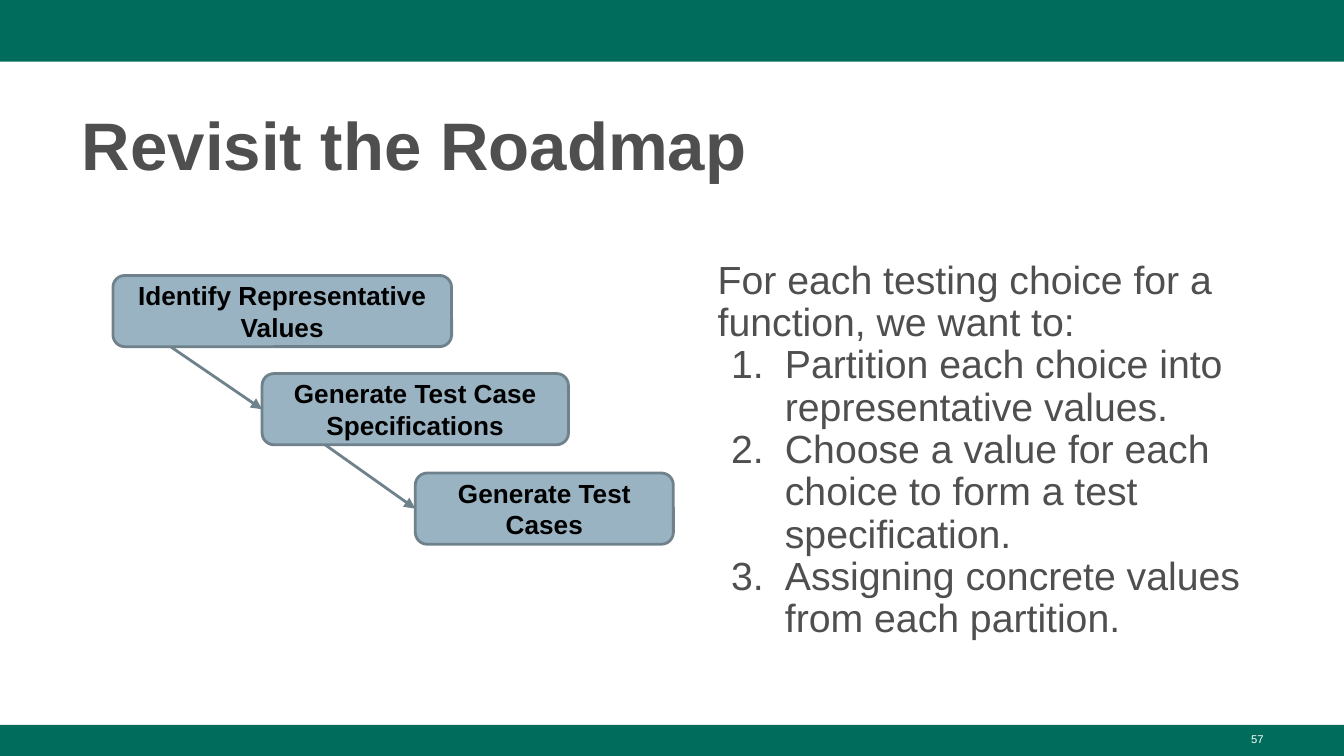
from lxml import etree
from pptx import Presentation
from pptx.dml.color import RGBColor
from pptx.enum.shapes import MSO_CONNECTOR, MSO_SHAPE
from pptx.enum.text import MSO_ANCHOR, MSO_AUTO_SIZE, PP_ALIGN
from pptx.oxml.ns import qn
from pptx.util import Inches, Pt

GREEN = RGBColor(0x00, 0x6C, 0x5C)
GRAY = RGBColor(0x4F, 0x4F, 0x4F)
BLUE = RGBColor(0x99, 0xB3, 0xC2)
SLATE = RGBColor(0x6F, 0x82, 0x8C)
BLACK = RGBColor(0, 0, 0)
WHITE = RGBColor(0xFF, 0xFF, 0xFF)

RECT, ROUND = MSO_SHAPE.RECTANGLE, MSO_SHAPE.ROUNDED_RECTANGLE
STRAIGHT = MSO_CONNECTOR.STRAIGHT
TOP, MIDDLE = MSO_ANCHOR.TOP, MSO_ANCHOR.MIDDLE
LEFT, CENTER, RIGHT = PP_ALIGN.LEFT, PP_ALIGN.CENTER, PP_ALIGN.RIGHT
NO_FIT = MSO_AUTO_SIZE.NONE

# Wide slide, 16 to 9
WIDE = 10
HIGH = WIDE * 9 / 16
# Step text, left and top in the flow, width, start of the arrow to the next
STEPS = [
    ("Identify Representative Values", 0, 0, 2.52, 0.43),
    ("Generate Test Case Specifications", 1.11, 0.73, 2.28, 0.47),
    ("Generate Test Cases", 2.25, 1.47, 1.92, None),
]
STEP_HIGH = 0.53
INTRO = "For each testing choice for a function, we want to:"
GOALS = [
    "Partition each choice into representative values.",
    "Choose a value for each choice to form a test specification.",
    "Assigning concrete values from each partition.",
]


def place(shape, box):
    shape.left, shape.top, shape.width, shape.height = map(Inches, box)


def set_list(para, numbered):
    """Number a paragraph with a hanging indent, or clear its bullet."""
    props = para._p.get_or_add_pPr()
    props.set("marL", str(Inches(0.5) if numbered else 0))
    props.set("indent", str(Inches(-0.4) if numbered else 0))
    if numbered:
        color = etree.SubElement(props, qn("a:buClr"))
        etree.SubElement(color, qn("a:srgbClr"), val=str(GRAY))
        etree.SubElement(props, qn("a:buFont"), typeface="Arial")
        etree.SubElement(props, qn("a:buAutoNum"), type="arabicPeriod")
    else:
        etree.SubElement(props, qn("a:buNone"))


def write(shape, lines, size, color, bold=False, align=LEFT, anchor=TOP,
          pad=0.1, space=None, first=None):
    """Fill a shape with text; lines from index first on are numbered."""
    frame = shape.text_frame
    frame.word_wrap = True
    frame.auto_size = NO_FIT
    frame.vertical_anchor = anchor
    frame.margin_left = frame.margin_right = Inches(0.1)
    frame.margin_top = frame.margin_bottom = Inches(pad)
    for i, line in enumerate(lines):
        para = frame.paragraphs[0] if i == 0 else frame.add_paragraph()
        set_list(para, first is not None and i >= first)
        para.alignment = align
        para.space_before = Pt(0)
        if space:
            para.line_spacing = space
        run = para.add_run()
        run.text = line
        font = run.font
        font.name, font.size, font.bold = "Arial", Pt(size), bold
        font.color.rgb = color


def add_box(slide, kind, box, fill, edge=None):
    shape = slide.shapes.add_shape(kind, *map(Inches, box))
    shape.shadow.inherit = False
    shape.fill.solid()
    shape.fill.fore_color.rgb = fill
    if edge is None:
        shape.line.fill.background()
    else:
        shape.line.color.rgb = edge
        shape.line.width = Pt(1.5)
    return shape


def add_arrow(slide, x, y, target):
    """Draw an arrow from a point to the left side of a box."""
    arrow = slide.shapes.add_connector(
        STRAIGHT, Inches(x), Inches(y), target.left, target.top)
    arrow.end_connect(target, 1)
    arrow.line.color.rgb = SLATE
    arrow.line.width = Pt(1.5)
    etree.SubElement(arrow.line._get_or_add_ln(), qn("a:tailEnd"),
                     type="triangle")
    etree.SubElement(arrow._element.spPr, qn("a:effectLst"))


def add_bars(slide, head, foot):
    for top, high in ((0, head), (HIGH - foot, foot)):
        add_box(slide, RECT, (0, top, WIDE, high), GREEN)


def add_title(slide, box):
    title = slide.shapes.title
    place(title, box)
    write(title, ["Revisit the Roadmap"], 36, GRAY, bold=True, pad=0.05,
          space=1.08)


def add_flow(slide, left, top):
    # Boxes of the staircase
    boxes = []
    for text, x, y, wide, _ in STEPS:
        box = add_box(slide, ROUND, (left + x, top + y, wide, STEP_HIGH),
                      BLUE, SLATE)
        write(box, [text], 14, BLACK, bold=True, align=CENTER, anchor=MIDDLE)
        boxes.append(box)
    # Arrows from each bottom edge to the next box
    for (_, x, y, _, start), target in zip(STEPS, boxes[1:]):
        add_arrow(slide, left + x + start, top + y + STEP_HIGH, target)


def add_goals(slide, box):
    body = slide.placeholders[1]
    place(body, box)
    write(body, [INTRO, *GOALS], 21, GRAY, anchor=MIDDLE, space=0.9, first=1)


def add_page(slide, box):
    page = slide.shapes.add_textbox(*map(Inches, box))
    write(page, ["57"], 6, WHITE, align=RIGHT, pad=0.05)


def main():
    deck = Presentation()
    deck.slide_width, deck.slide_height = Inches(WIDE), Inches(HIGH)
    slide = deck.slides.add_slide(deck.slide_layouts[1])
    add_bars(slide, 0.46, 0.23)
    add_title(slide, (0.51, 0.67, 8.99, 0.73))
    add_flow(slide, 0.84, 2.05)
    add_goals(slide, (5.24, 1.32, 4.37, 4.07))
    add_page(slide, (7.17, 5.4, 2.33, 0.23))
    deck.save("out.pptx")


if __name__ == "__main__":
    main()
